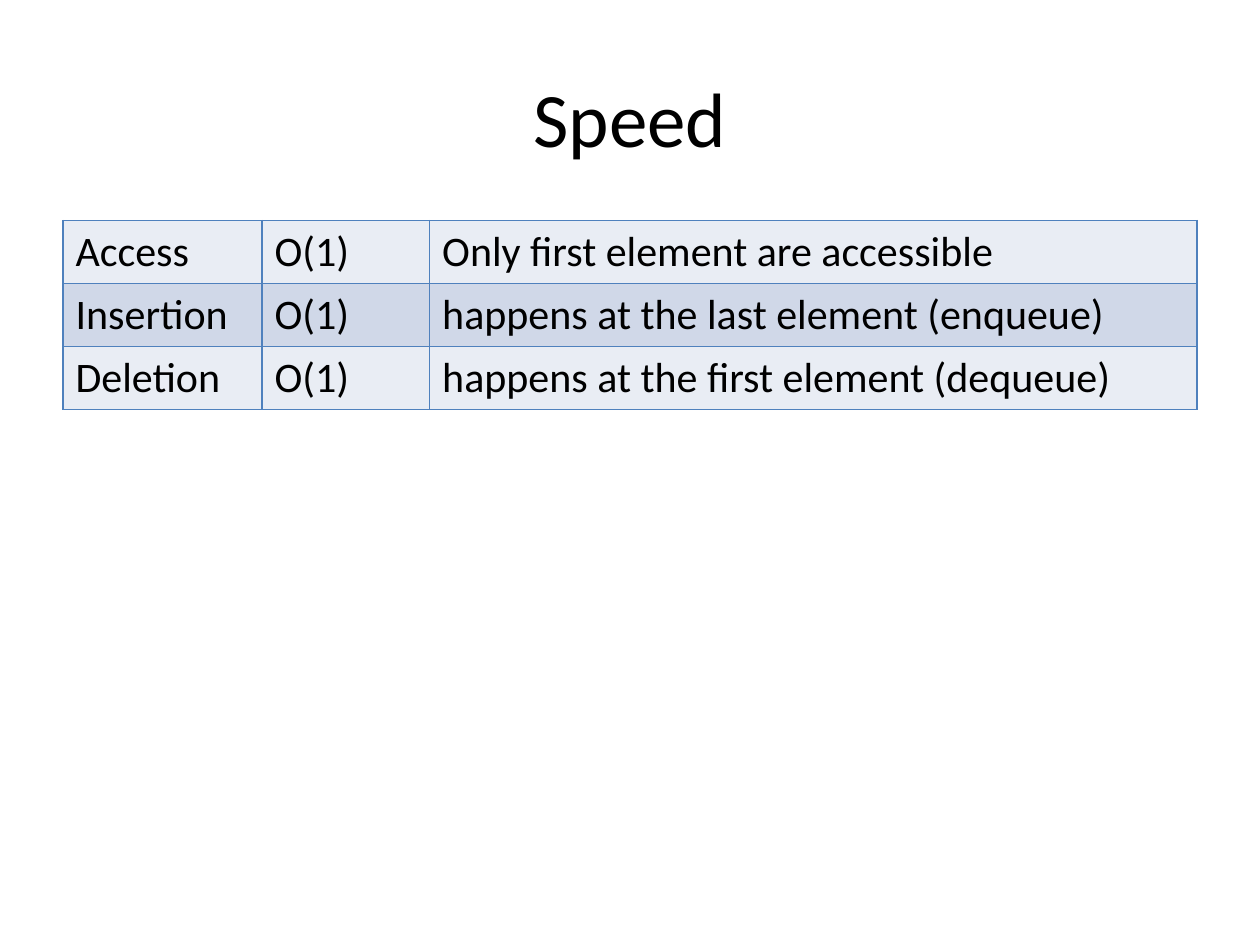
from pptx import Presentation
from pptx.dml.color import RGBColor
from pptx.enum import text
from pptx.oxml import parse_xml
from pptx.oxml.ns import nsdecls
from pptx.util import Inches, Pt

BLACK = RGBColor(0x00, 0x00, 0x00)
BORDER = RGBColor(0x4F, 0x81, 0xBD)
BANDS = (RGBColor(0xE9, 0xED, 0xF4), RGBColor(0xD0, 0xD8, 0xE8))
FONT = "Calibri"

COLUMN_WIDTHS = (1.58, 1.33, 6.09)
ROW_HEIGHT = 0.5
SPEEDS = (
    ("Access", "O(1)", "Only first element are accessible"),
    ("Insertion", "O(1)", "happens at the last element (enqueue)"),
    ("Deletion", "O(1)", "happens at the first element (dequeue)"),
)


def style_font(paragraph, size):
    """Set the shared typeface and colour at the given size."""
    paragraph.font.name = FONT
    paragraph.font.size = Pt(size)
    paragraph.font.color.rgb = BLACK


def add_title(slide, wording):
    """Add the centred slide heading."""
    heading = slide.shapes.add_textbox(Inches(0.5), Inches(0.3), Inches(9), Inches(1.25))
    frame = heading.text_frame
    frame.word_wrap = True
    frame.vertical_anchor = text.MSO_ANCHOR.MIDDLE
    paragraph = frame.paragraphs[0]
    paragraph.text = wording
    paragraph.alignment = text.PP_ALIGN.CENTER
    style_font(paragraph, 44)


def add_borders(cell):
    """Draw a thin line on all four sides of a cell."""
    properties = cell._tc.get_or_add_tcPr()
    for position, side in enumerate(("lnL", "lnR", "lnT", "lnB")):
        properties.insert(position, parse_xml(
            f'<a:{side} {nsdecls("a")} w="{Pt(1)}"><a:solidFill>'
            f'<a:srgbClr val="{BORDER}"/></a:solidFill></a:{side}>'))


def fill_cell(cell, wording, band):
    """Write and format one table cell."""
    cell.text = wording
    style_font(cell.text_frame.paragraphs[0], 24)
    cell.fill.solid()
    cell.fill.fore_color.rgb = band
    add_borders(cell)


def add_speed_table(slide):
    """Add the banded table of operation costs."""
    table = slide.shapes.add_table(
        len(SPEEDS), len(COLUMN_WIDTHS), Inches(0.5), Inches(1.75),
        Inches(sum(COLUMN_WIDTHS)), Inches(ROW_HEIGHT * len(SPEEDS))).table
    table.first_row = False
    for column, width in zip(table.columns, COLUMN_WIDTHS):
        column.width = Inches(width)
    for index, (row, wordings) in enumerate(zip(table.rows, SPEEDS)):
        for cell, wording in zip(row.cells, wordings):
            fill_cell(cell, wording, BANDS[index % len(BANDS)])


def main():
    """Build and save the slide."""
    deck = Presentation()
    deck.slide_width, deck.slide_height = Inches(10), Inches(7.5)
    slide = deck.slides.add_slide(deck.slide_layouts[6])
    add_title(slide, "Speed")
    add_speed_table(slide)
    deck.save("out.pptx")


if __name__ == "__main__":
    main()
